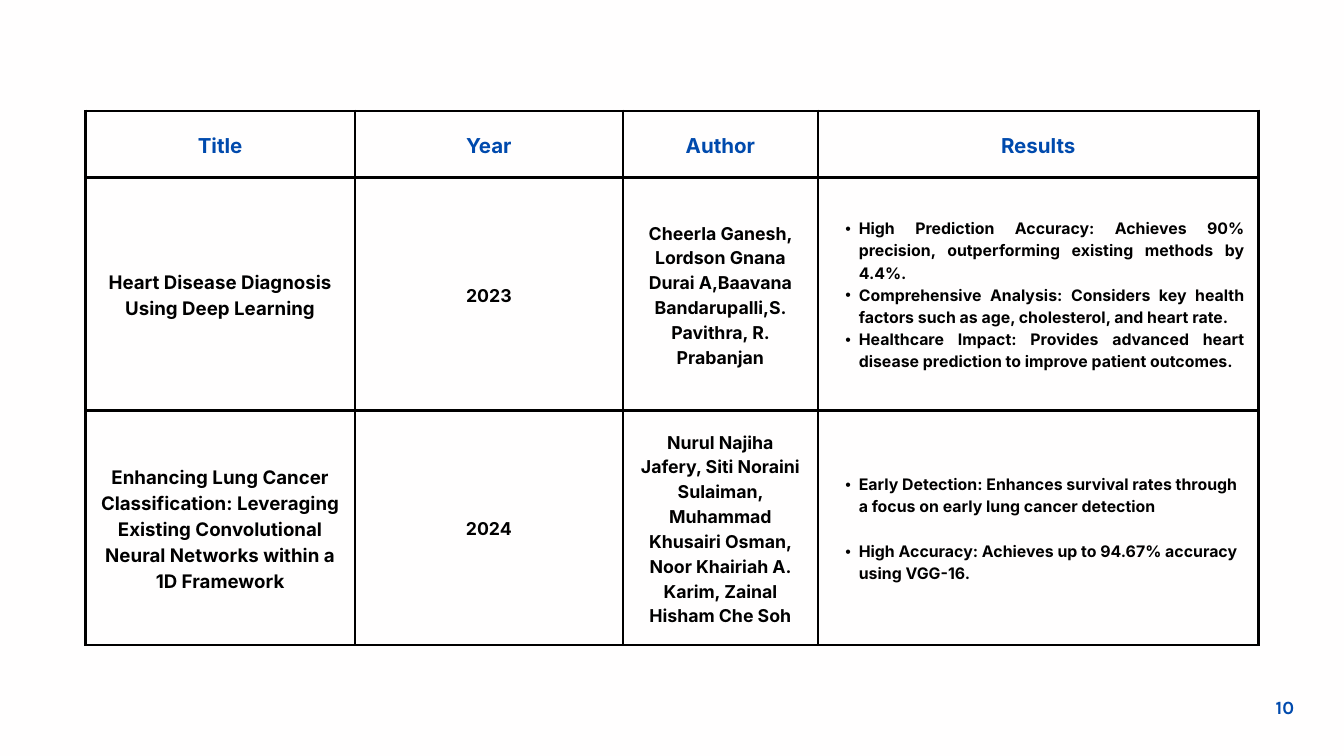
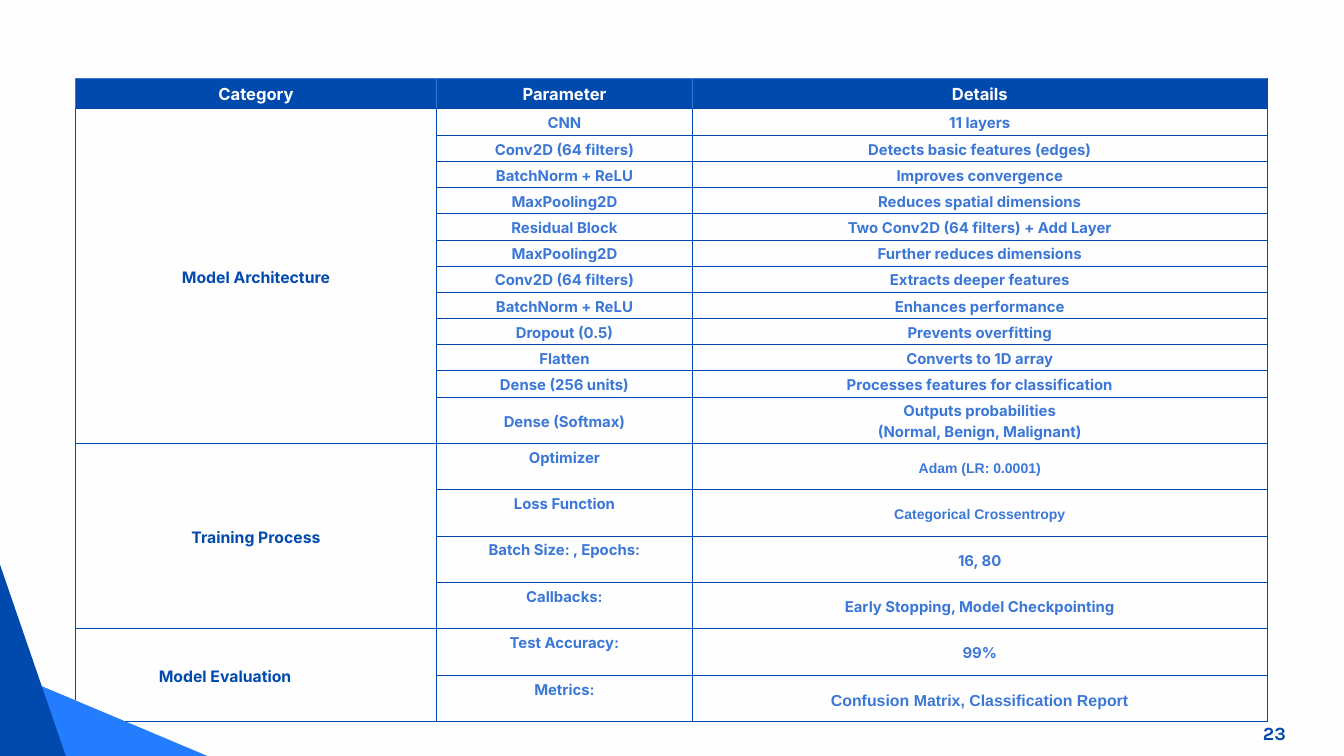
"""Build two slides: a literature review table and a model summary table."""
import lxml.etree
import pptx
import pptx.dml.color
import pptx.enum.text
import pptx.oxml.ns
import pptx.util

Inches = pptx.util.Inches
Pt = pptx.util.Pt
RGBColor = pptx.dml.color.RGBColor
Align = pptx.enum.text.PP_ALIGN
Anchor = pptx.enum.text.MSO_ANCHOR
qn = pptx.oxml.ns.qn

NAVY = RGBColor(0x00, 0x4A, 0xAD)
MID_BLUE = RGBColor(0x3B, 0x77, 0xD7)
BRIGHT_BLUE = RGBColor(0x24, 0x7C, 0xFF)
OFF_WHITE = RGBColor(0xFF, 0xFE, 0xFE)
BLACK = RGBColor(0x00, 0x00, 0x00)
LINE_FACTOR = 1.4


def write_text(frame, text, *, size, color, font="Inter", align=Align.CENTER,
               bullet=False, gap=0):
    """Fill a text frame with bold text, one paragraph for each line."""
    frame.word_wrap = True
    for index, line in enumerate(text.split("\n")):
        paragraph = frame.paragraphs[0] if index == 0 else frame.add_paragraph()
        paragraph.alignment = align
        paragraph.line_spacing = Pt(round(size * LINE_FACTOR, 1))
        if gap and index:
            paragraph.space_before = Pt(gap)
        if bullet:
            paragraph.level = 1
            properties = paragraph._p.get_or_add_pPr()
            properties.set("marL", str(Inches(0.4)))
            properties.set("indent", str(Inches(-0.2)))
            lxml.etree.SubElement(properties, qn("a:buFont"), typeface="Arial")
            lxml.etree.SubElement(properties, qn("a:buChar"), char="•")
        run = paragraph.add_run()
        run.text = line
        run.font.name = font
        run.font.size = Pt(size)
        run.font.bold = True
        run.font.color.rgb = color


class Deck:
    """Hold the shared style, the presentation and the current slide."""

    def __init__(self):
        self.presentation = pptx.Presentation()
        self.presentation.slide_width = Inches(20)
        self.presentation.slide_height = Inches(11.25)
        self.slide = None

    def add_slide(self):
        """Start a slide on the shared background."""
        layout = self.presentation.slide_layouts[6]
        self.slide = self.presentation.slides.add_slide(layout)
        fill = self.slide.background.fill
        fill.solid()
        fill.fore_color.rgb = OFF_WHITE

    def table(self, left, top, widths, heights, *, border, width, inset):
        """Add an unfilled table with one border style and return it."""
        table = self.slide.shapes.add_table(
            len(heights), len(widths), Inches(left), Inches(top),
            Inches(sum(widths)), Inches(sum(heights))).table
        table.first_row = False
        table.horz_banding = False
        for column, size in zip(table.columns, widths):
            column.width = Inches(size)
        for row, size in zip(table.rows, heights):
            row.height = Inches(size)
        for cell in table.iter_cells():
            cell.vertical_anchor = Anchor.MIDDLE
            cell.margin_left = cell.margin_right = Inches(inset)
            cell.margin_top = cell.margin_bottom = Inches(inset)
            self.borders(cell, dict.fromkeys("LRTB", border), width)
            cell.fill.background()
        return table

    def borders(self, cell, colors, width):
        """Draw the cell borders, coloured by side."""
        properties = cell._tc.get_or_add_tcPr()
        for position, (side, color) in enumerate(colors.items()):
            tag = qn(f"a:ln{side}")
            for old in properties.findall(tag):
                properties.remove(old)
            line = properties.makeelement(tag, {"w": str(Pt(width))})
            fill = lxml.etree.SubElement(line, qn("a:solidFill"))
            lxml.etree.SubElement(fill, qn("a:srgbClr"), val=str(color))
            properties.insert(position, line)

    def triangle(self, points, color):
        """Add a filled triangle through three points."""
        corners = [(Inches(x), Inches(y)) for x, y in points]
        builder = self.slide.shapes.build_freeform(*corners[0])
        builder.add_line_segments(corners[1:], close=True)
        shape = builder.convert_to_shape()
        shape.shadow.inherit = False
        shape.fill.solid()
        shape.fill.fore_color.rgb = color
        shape.line.fill.background()

    def page_number(self, number, left, top, width):
        """Add the page number."""
        frame = self.slide.shapes.add_textbox(
            Inches(left), Inches(top), Inches(width), Inches(0.37)).text_frame
        frame.margin_left = frame.margin_right = 0
        frame.margin_top = frame.margin_bottom = 0
        write_text(frame, str(number), size=20, color=NAVY, font="Karla")


PAPERS = [
    ("Heart Disease Diagnosis Using Deep Learning", "2023",
     "Cheerla Ganesh, Lordson Gnana Durai A,Baavana Bandarupalli,S. Pavithra, "
     "R. Prabanjan",
     "High Prediction Accuracy: Achieves 90% precision, outperforming existing "
     "methods by 4.4%.\n"
     "Comprehensive Analysis: Considers key health factors such as age, "
     "cholesterol, and heart rate.\n"
     "Healthcare Impact: Provides advanced heart disease prediction to improve "
     "patient outcomes.",
     {"align": Align.JUSTIFY}),
    ("Enhancing Lung Cancer Classification: Leveraging Existing Convolutional "
     "Neural Networks within a 1D Framework", "2024",
     "Nurul Najiha Jafery, Siti Noraini Sulaiman, Muhammad Khusairi Osman, "
     "Noor Khairiah A. Karim, Zainal Hisham Che Soh",
     "Early Detection: Enhances survival rates through a focus on early lung "
     "cancer detection\n"
     "High Accuracy: Achieves up to 94.67% accuracy using VGG-16.",
     {"align": Align.LEFT, "gap": 23.8}),
]

MODEL = {
    "Model Architecture": [
        ("CNN", "11 layers", {"size": 16.1}),
        ("Conv2D (64 filters)", "Detects basic features (edges)", {}),
        ("BatchNorm + ReLU", "Improves convergence", {}),
        ("MaxPooling2D", "Reduces spatial dimensions", {}),
        ("Residual Block", "Two Conv2D (64 filters) + Add Layer", {}),
        ("MaxPooling2D", "Further reduces dimensions", {}),
        ("Conv2D (64 filters)", "Extracts deeper features", {}),
        ("BatchNorm + ReLU", "Enhances performance", {}),
        ("Dropout (0.5)", "Prevents overfitting", {}),
        ("Flatten", "Converts to 1D array", {}),
        ("Dense (256 units)", "Processes features for classification", {}),
        ("Dense (Softmax)",
         "Outputs probabilities\n(Normal, Benign, Malignant)", {}),
    ],
    "Training Process": [
        ("Optimizer", "Adam (LR: 0.0001)", {"size": 15, "font": "Arial"}),
        ("Loss Function", "Categorical Crossentropy",
         {"size": 15, "font": "Arial"}),
        ("Batch Size: , Epochs:", "16, 80", {}),
        ("Callbacks:", "Early Stopping, Model Checkpointing", {}),
    ],
    "Model Evaluation": [
        ("Test Accuracy:", "99%", {}),
        ("Metrics:", "Confusion Matrix, Classification Report",
         {"size": 17, "font": "Arial"}),
    ],
}


def build_review(deck):
    """Build the literature review slide."""
    deck.add_slide()
    table = deck.table(1.27, 1.65, [4.01, 3.99, 2.9, 6.56], [0.99, 3.47, 3.49],
                       border=BLACK, width=3, inset=0.21)
    for column, heading in enumerate(("Title", "Year", "Author", "Results")):
        write_text(table.cell(0, column).text_frame, heading, size=22, color=NAVY)
    for row, (*texts, results, style) in enumerate(PAPERS, start=1):
        for column, (text, size) in enumerate(zip(texts, (20, 19, 19))):
            write_text(table.cell(row, column).text_frame, text, size=size,
                       color=BLACK)
        write_text(table.cell(row, 3).text_frame, results, size=17, color=BLACK,
                   bullet=True, **style)
    deck.page_number(10, 18.91, 10.3, 0.42)


def build_model(deck):
    """Build the model summary slide."""
    deck.add_slide()
    table = deck.table(1.12, 1.17, [5.38, 3.8, 8.56],
                       [0.44, 0.4] + [0.39] * 10 + [0.69] * 7,
                       border=NAVY, width=0.78, inset=0)
    headings = ("Category", "Parameter", "Details")
    for column, heading in enumerate(headings):
        cell = table.cell(0, column)
        right = NAVY if heading == headings[-1] else MID_BLUE
        deck.borders(cell, {"L": MID_BLUE, "R": right, "T": MID_BLUE, "B": NAVY},
                     0.78)
        cell.fill.solid()
        cell.fill.fore_color.rgb = NAVY
        write_text(cell.text_frame, heading, size=17.8, color=OFF_WHITE)
    row = 1
    for category, entries in MODEL.items():
        category_cell = table.cell(row, 0)
        category_cell.merge(table.cell(row + len(entries) - 1, 0))
        write_text(category_cell.text_frame, category, size=16.9, color=NAVY)
        if category == "Model Evaluation":
            category_cell.margin_right = Inches(0.92)
        for parameter, details, style in entries:
            parameter_cell = table.cell(row, 1)
            if category != "Model Architecture":
                parameter_cell.margin_bottom = Inches(0.3)
            write_text(parameter_cell.text_frame, parameter, size=16,
                       color=MID_BLUE)
            write_text(table.cell(row, 2).text_frame, details,
                       **{"size": 16, "color": MID_BLUE, **style})
            row += 1
    deck.triangle([(1.27, 13.57), (4.25, 11.74), (0.5, 10.16)], BRIGHT_BLUE)
    deck.triangle([(-0.41, 7.21), (1.25, 12.04), (-3.73, 11.09)], NAVY)
    deck.page_number(23, 18.43, 10.68, 1.07)


def main():
    """Build and save the presentation."""
    deck = Deck()
    build_review(deck)
    build_model(deck)
    deck.presentation.save("out.pptx")


if __name__ == "__main__":
    main()
